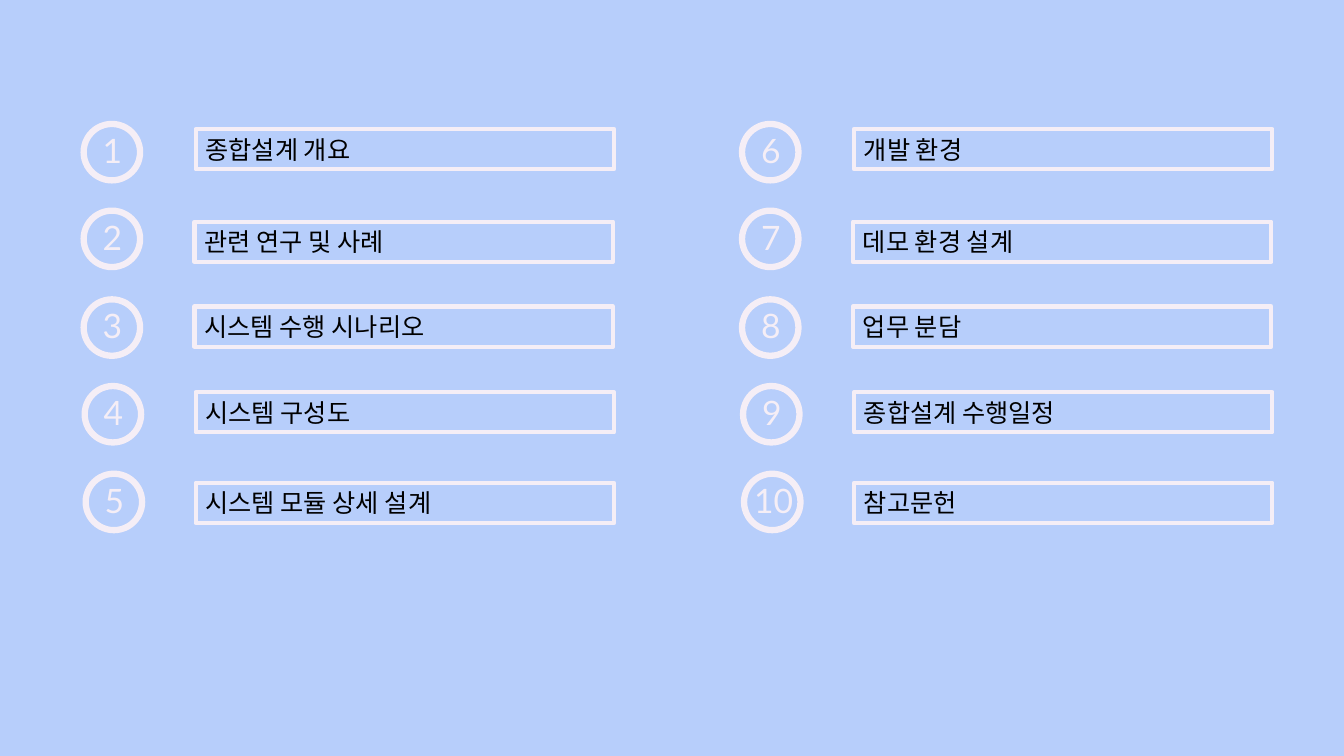
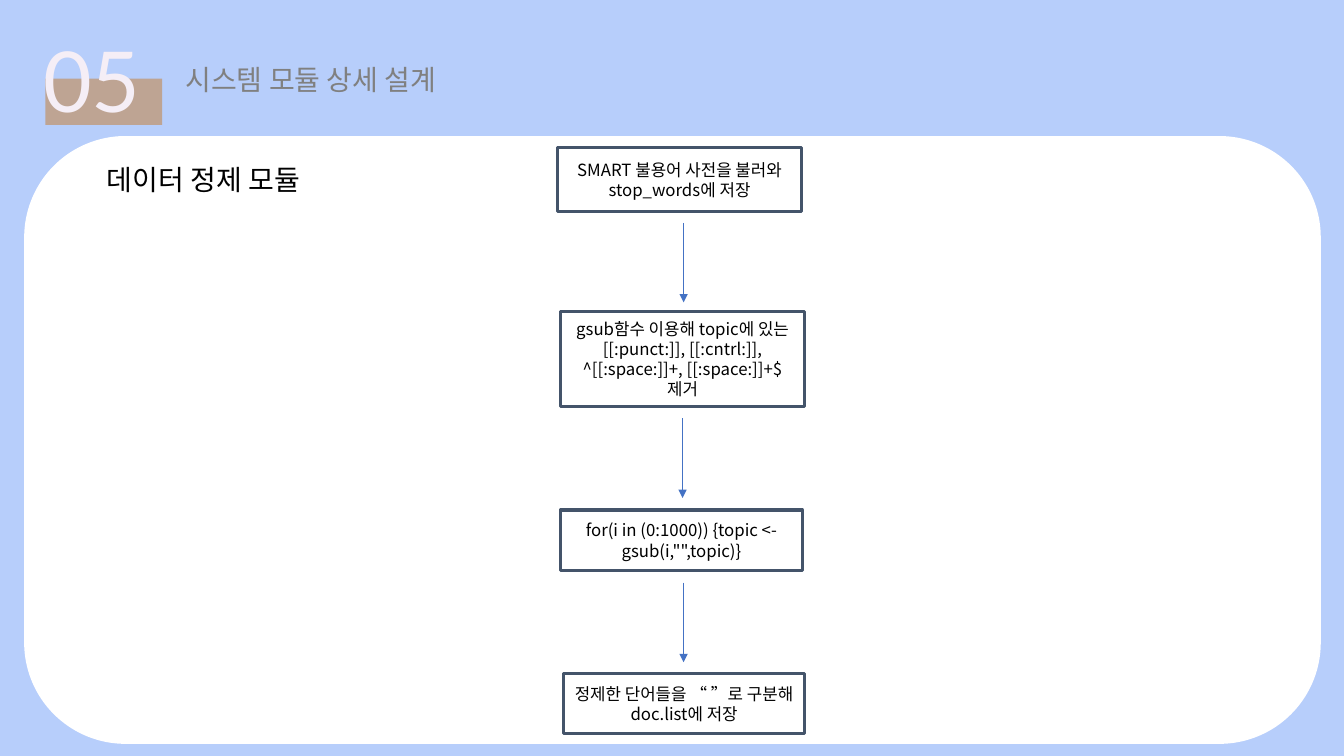
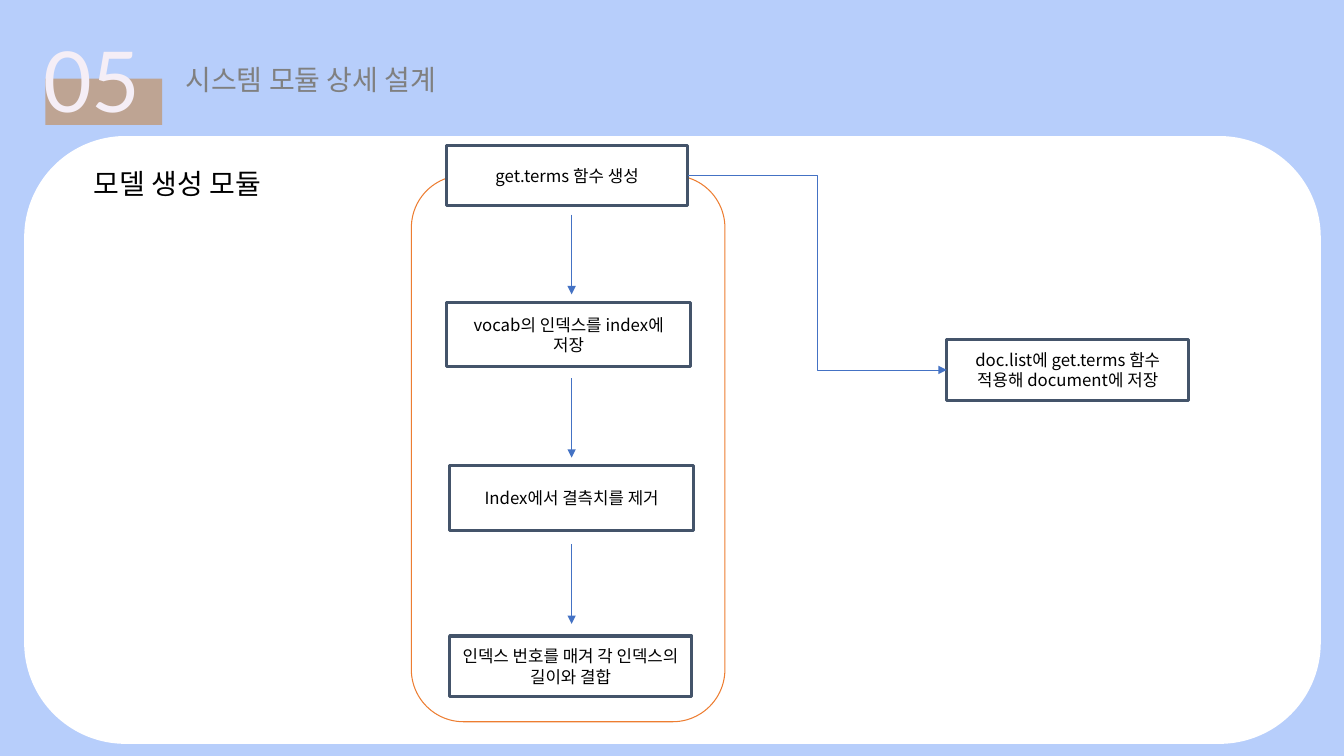
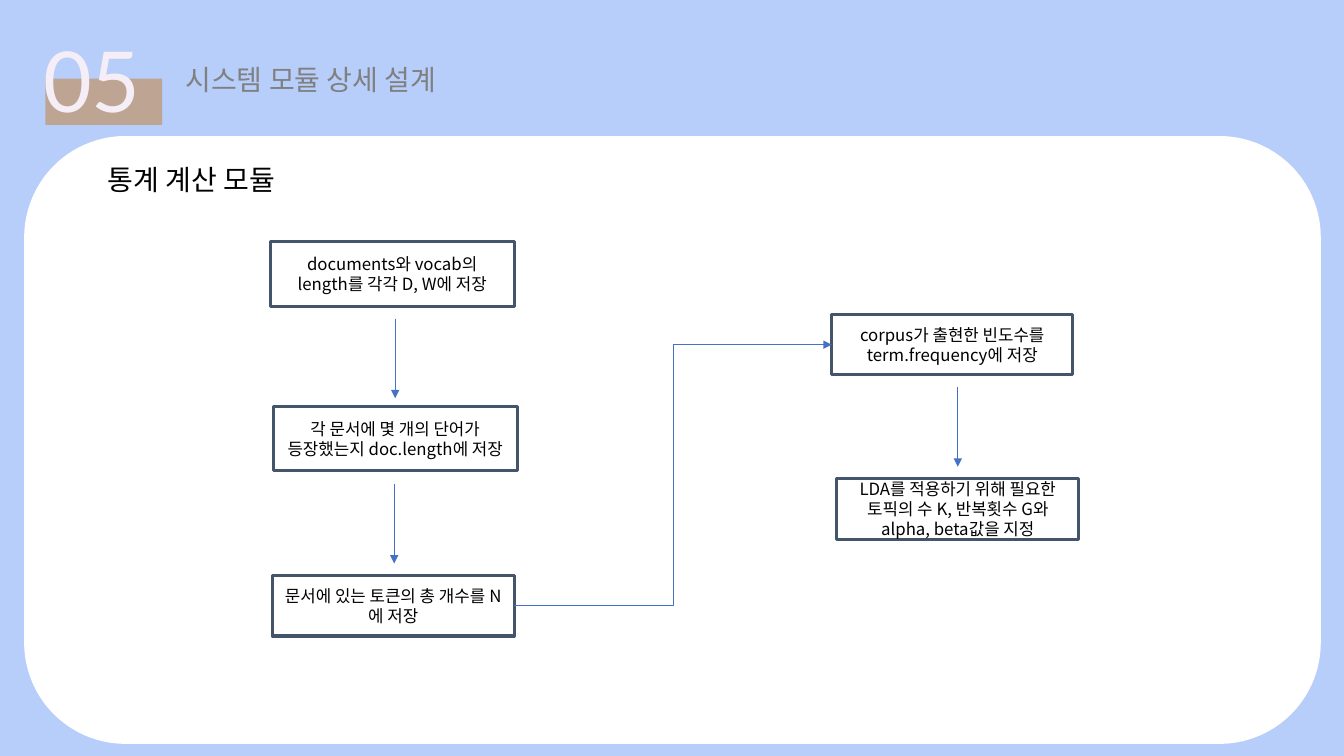
from lxml.etree import SubElement
from pptx import Presentation
from pptx.dml.color import RGBColor
from pptx.enum.shapes import MSO_CONNECTOR, MSO_SHAPE
from pptx.enum.text import MSO_ANCHOR, PP_ALIGN
from pptx.oxml.ns import qn
from pptx.util import Pt

PX = 9144  # 100 px to the inch
SKY = RGBColor(0xB7, 0xCE, 0xFB)
PALE = RGBColor(0xF5, 0xEE, 0xF6)
TAN = RGBColor(0xBE, 0xA4, 0x93)
GREY = RGBColor(0x80, 0x80, 0x80)
SLATE = RGBColor(0x44, 0x54, 0x6A)
BLUE = RGBColor(0x44, 0x72, 0xC4)
ORANGE = RGBColor(0xED, 0x7D, 0x31)
WHITE = RGBColor(0xFF, 0xFF, 0xFF)
BLACK = RGBColor(0, 0, 0)
LATO = "Lato"
NOTO = "Noto Sans CJK KR"

# Contents: topics run down the first column, then the second
TOPICS = [
    "종합설계 개요", "관련 연구 및 사례", "시스템 수행 시나리오",
    "시스템 구성도", "시스템 모듈 상세 설계",
    "개발 환경", "데모 환경 설계", "업무 분담", "종합설계 수행일정", "참고문헌",
]
# Each row: ring left, ring top, bar left, bar top
ROWS = [
    (83, 123, 194, 128), (83, 209, 193, 220), (83, 297, 193, 304),
    (84, 383, 194, 389), (85, 470, 194, 479),
]
COLUMN = 653
RING = 56

# Modules: boxes are left, top, width, height, text and maybe a fill;
# arrows are left and top; a link joins two boxes by index
ARROW = 79
MODULES = [
    {
        "name": (96, 156, "데이터 정제 모듈"),
        "boxes": [
            (553, 146, 242, 64, "SMART 불용어 사전을 불러와 stop_words에 저장"),
            (556, 309, 242, 94, "gsub함수 이용해 topic에 있는 [[:punct:]], [[:cntrl:]], "
                                "^[[:space:]]+, [[:space:]]+$\n제거"),
            (556, 506, 240, 60, 'for(i in (0:1000)) {topic <- gsub(i,"",topic)}'),
            (559, 668, 239, 60, "정제한 단어들을 “ ”로 구분해 doc.list에 저장"),
        ],
        "arrows": [(678, 221), (677, 415), (678, 578)],
    },
    {
        "name": (83, 160, "모델 생성 모듈"),
        "frame": (408, 174, 311, 542),
        "boxes": [
            (443, 144, 239, 60, "get.terms 함수 생성", WHITE),
            (443, 300, 242, 64, "vocab의 인덱스를 index에 저장"),
            (446, 462, 242, 64, "Index에서 결측치를 제거"),
            (446, 631, 240, 60, "인덱스 번호를 매겨 각 인덱스의 길이와 결합"),
            (939, 337, 240, 60, "doc.list에 get.terms 함수 적용해 document에 저장"),
        ],
        "arrows": [(567, 213), (567, 375), (567, 540)],
        "link": (0, 4),
    },
    {
        "name": (97, 156, "통계 계산 모듈"),
        "boxes": [
            (268, 240, 242, 64, "documents와 vocab의 length를 각각 D, W에 저장"),
            (271, 403, 242, 64, "각 문서에 몇 개의 단어가 등장했는지 doc.length에 저장"),
            (270, 571, 240, 60, "문서에 있는 토큰의 총 개수를 N에 저장"),
            (825, 312, 239, 60, "corpus가 출현한 빈도수를 term.frequency에 저장"),
            (830, 475, 240, 60, "LDA를 적용하기 위해 필요한 토픽의 수 K, "
                                "반복횟수 G와 alpha, beta값을 지정"),
        ],
        "arrows": [(392, 316), (391, 480), (950, 384)],
        "link": (2, 3),
    },
]


def emu(*sizes):
    return [size * PX for size in sizes]


def write(shape, text, size, font, color, align=PP_ALIGN.LEFT, anchor=MSO_ANCHOR.TOP):
    frame = shape.text_frame
    frame.text = text
    frame.word_wrap = True
    frame.vertical_anchor = anchor
    for line in frame.paragraphs:
        line.alignment = align
        for run in line.runs:
            run.font.size = Pt(size)
            run.font.name = font
            run.font.color.rgb = color
            SubElement(run.font._element, qn("a:ea"), typeface=NOTO)


def label(slide, area, *style):
    write(slide.shapes.add_textbox(*emu(*area)), *style)


def draw(slide, kind, area, fill=None, line=None, width=1):
    shape = slide.shapes.add_shape(kind, *emu(*area))
    shape.shadow.inherit = False
    if fill is None:
        shape.fill.background()
    else:
        shape.fill.solid()
        shape.fill.fore_color.rgb = fill
    if line is None:
        shape.line.fill.background()
    else:
        shape.line.color.rgb = line
        shape.line.width = Pt(width)
    return shape


def arrow(slide, kind, start, end):
    line = slide.shapes.add_connector(kind, *emu(*start, *end))
    line.line.color.rgb = BLUE
    line.line.width = Pt(0.5)
    SubElement(line.line._get_or_add_ln(), qn("a:tailEnd"), type="triangle")
    SubElement(line._element.spPr, qn("a:effectLst"))
    return line


def page(deck):
    slide = deck.slides.add_slide(deck.slide_layouts[6])
    slide.background.fill.solid()
    slide.background.fill.fore_color.rgb = SKY
    return slide


def contents(deck):
    slide = page(deck)
    for i, topic in enumerate(TOPICS):
        col, row = divmod(i, len(ROWS))
        left, top, bar_x, bar_y = ROWS[row]
        shift = col * COLUMN
        left += shift
        bar = draw(slide, MSO_SHAPE.RECTANGLE, (bar_x + shift, bar_y, 415, 40), None, PALE, 3)
        write(bar, topic, 18, LATO, BLACK)
        draw(slide, MSO_SHAPE.OVAL, (left, top, RING, RING), None, PALE, 4.5)
        num = str(i + 1)
        inset, width = (9, 38) if len(num) == 1 else (0, 65)
        label(slide, (left + inset, top + 1, width, 50), num, 24, LATO, PALE)


def module(deck, data):
    slide = page(deck)
    # Section header and white panel
    draw(slide, MSO_SHAPE.RECTANGLE, (45, 78, 116, 46), TAN)
    label(slide, (33, 23, 128, 111), "05", 60, LATO, PALE)
    label(slide, (174, 57, 311, 44), TOPICS[4], 20, LATO, GREY)
    draw(slide, MSO_SHAPE.ROUNDED_RECTANGLE, (24, 135, 1286, 603), WHITE)
    left, top, name = data["name"]
    label(slide, (left, top, 300, 44), name, 20, NOTO, BLACK)

    # Flow chart
    if "frame" in data:
        draw(slide, MSO_SHAPE.ROUNDED_RECTANGLE, data["frame"], None, ORANGE, 0.75)
    boxes = []
    for *area, text, fill in [(*box, None)[:6] for box in data["boxes"]]:
        box = draw(slide, MSO_SHAPE.RECTANGLE, area, fill, SLATE, 2.25)
        write(box, text, 12, NOTO, BLACK, PP_ALIGN.CENTER, MSO_ANCHOR.MIDDLE)
        boxes.append(box)
    for x, y in data["arrows"]:
        arrow(slide, MSO_CONNECTOR.STRAIGHT, (x, y), (x, y + ARROW))
    if "link" in data:
        first, last = data["link"]
        link = arrow(slide, MSO_CONNECTOR.ELBOW, (0, 0), (0, 0))
        link.begin_connect(boxes[first], 3)  # right side
        link.end_connect(boxes[last], 1)  # left side


def main():
    deck = Presentation()
    deck.slide_width, deck.slide_height = emu(1333, 750)
    contents(deck)
    for data in MODULES:
        module(deck, data)
    deck.save("out.pptx")


if __name__ == "__main__":
    main()
